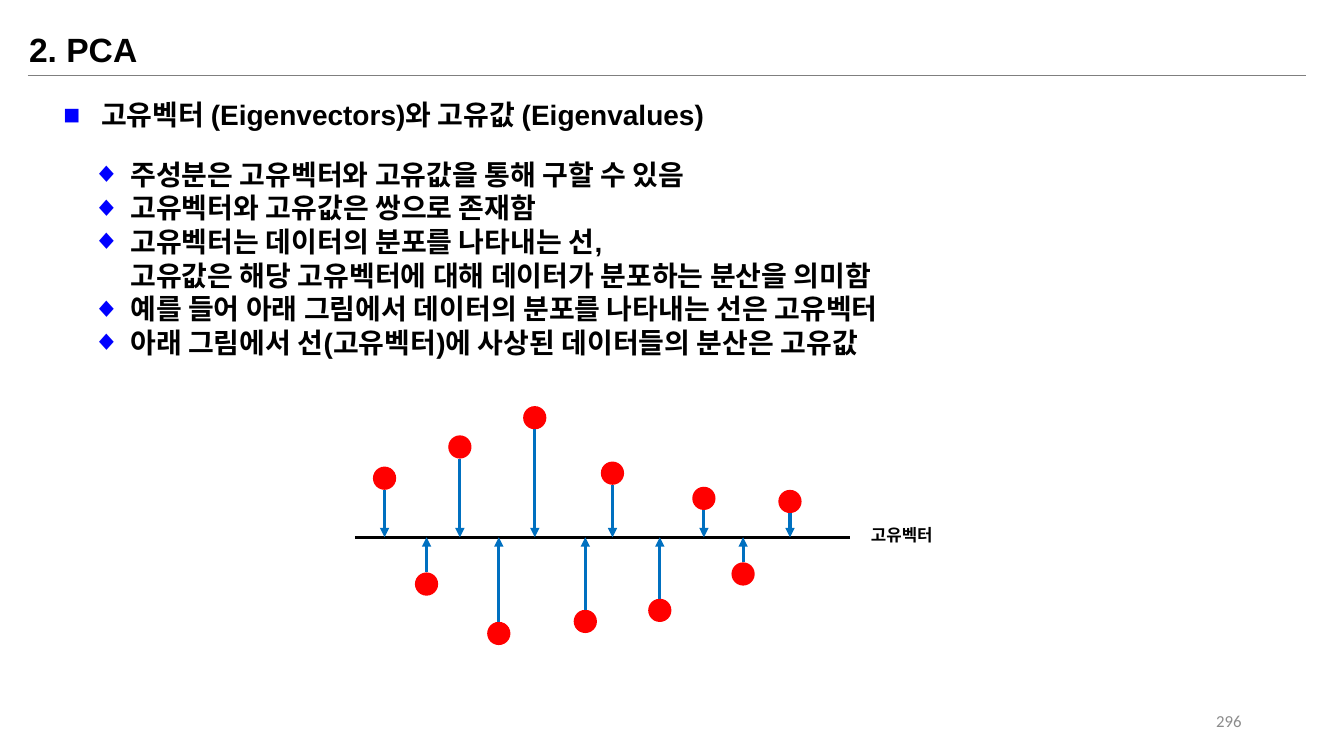
from lxml import etree
from pptx import Presentation
from pptx.dml.color import RGBColor
from pptx.enum.shapes import MSO_CONNECTOR, MSO_SHAPE
from pptx.enum.text import MSO_ANCHOR, PP_ALIGN
from pptx.oxml.ns import qn
from pptx.util import Pt

STRAIGHT = MSO_CONNECTOR.STRAIGHT
OVAL = MSO_SHAPE.OVAL
MIDDLE = MSO_ANCHOR.MIDDLE
LEFT, RIGHT = PP_ALIGN.LEFT, PP_ALIGN.RIGHT
color = RGBColor.from_string

deck = Presentation()
deck.slide_width, deck.slide_height = Pt(960), Pt(540)
page = deck.slides.add_slide(deck.slide_layouts[6])


def add_text(left, top, width, height, lines, size, font="Arial", ink="000000",
             bold=True, align=LEFT, bullet=None, wrap=True):
    box = page.shapes.add_textbox(Pt(left), Pt(top), Pt(width), Pt(height))
    frame = box.text_frame
    frame.word_wrap = wrap
    for index, line in enumerate(lines):
        para = frame.paragraphs[0] if index == 0 else frame.add_paragraph()
        para.text = line
        para.alignment = align
        if bullet:
            props = para._p.get_or_add_pPr()
            props.set("marL", str(Pt(27)))
            props.set("indent", str(Pt(-27)))
            tint = etree.SubElement(props, qn("a:buClr"))
            etree.SubElement(tint, qn("a:srgbClr"), val="0000FF")
            etree.SubElement(props, qn("a:buFont"), typeface="Arial")
            etree.SubElement(props, qn("a:buChar"), char=bullet)
        para.font.name, para.font.size, para.font.bold = font, Pt(size), bold
        para.font.color.rgb = color(ink)
    return frame


def add_line(x1, y1, x2, y2, ink, width, arrow=False):
    line = page.shapes.add_connector(STRAIGHT, Pt(x1), Pt(y1), Pt(x2), Pt(y2))
    line.line.color.rgb = color(ink)
    line.line.width = Pt(width)
    if arrow:
        etree.SubElement(line.line._get_or_add_ln(), qn("a:tailEnd"), type="triangle")
    etree.SubElement(line._element.spPr, qn("a:effectLst"))


# Title and rule
add_line(20, 54, 933, 54, "7F7F7F", 0.5)
add_text(13.7, 17.3, 659, 36, ["2. PCA"], 24)

# Heading and bullet list
add_text(38.2, 66.2, 659, 31.7, ["고유벡터 (Eigenvectors)와 고유값 (Eigenvalues)"], 20,
         bullet="■")
add_text(59, 108.7, 847, 152.6, [
    "주성분은 고유벡터와 고유값을 통해 구할 수 있음",
    "고유벡터와 고유값은 쌍으로 존재함",
    "고유벡터는 데이터의 분포를 나타내는 선, \v"
    "고유값은 해당 고유벡터에 대해 데이터가 분포하는 분산을 의미함",
    "예를 들어 아래 그림에서 데이터의 분포를 나타내는 선은 고유벡터",
    "아래 그림에서 선(고유벡터)에 사상된 데이터들의 분산은 고유값",
], 20, bullet="◆")

# Eigenvector axis
AXIS_Y = 383.8
add_line(253.5, AXIS_Y, 607, AXIS_Y, "000000", 2.25)
add_text(615, 371, 63.4, 21.6, ["고유벡터"], 12, font="Calibri", wrap=False)

# Data points (centres), each projected onto the axis
RADIUS = 8.3
points = [(274.7, 341.6), (328.5, 319.3), (382, 298.4), (437.5, 338),
          (502.8, 356), (564.3, 358.2), (304.7, 417.2), (356.3, 452.5),
          (418.1, 443.9), (471.3, 436), (530.8, 410)]
for x, y in points:
    dot = page.shapes.add_shape(OVAL, Pt(x - RADIUS), Pt(y - RADIUS),
                                Pt(2 * RADIUS), Pt(2 * RADIUS))
    dot.shadow.inherit = False
    dot.fill.solid()
    dot.fill.fore_color.rgb = color("FF0000")
    dot.line.fill.background()
    edge = y + RADIUS if y < AXIS_Y else y - RADIUS
    add_line(x, edge, x, AXIS_Y, "0070C0", 2.25, arrow=True)

# Page number
number = add_text(678, 500.5, 216, 28.8, ["296"], 12, font="Calibri", ink="8C8C8C",
                  bold=False, align=RIGHT)
number.vertical_anchor = MIDDLE

deck.save("out.pptx")
